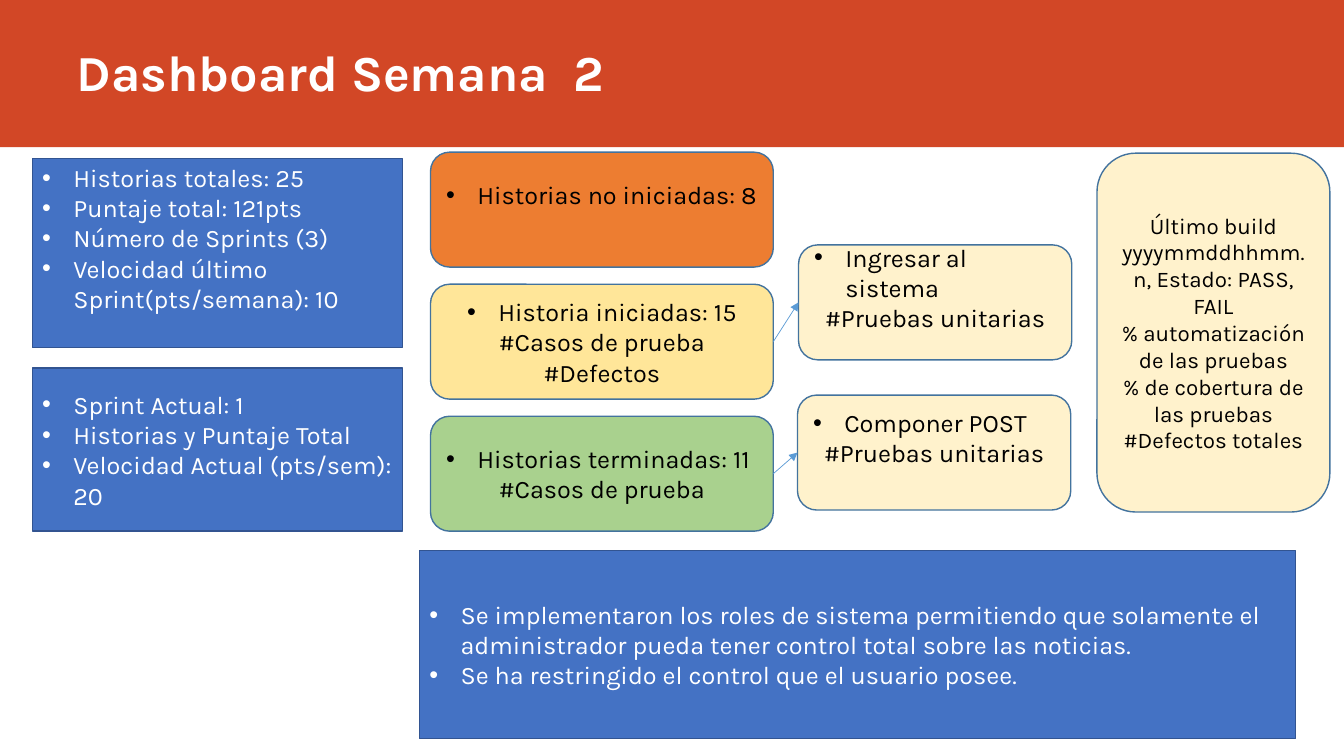
"""Build the weekly sprint dashboard slide."""
from dataclasses import dataclass

from lxml import etree
from pptx import Presentation
from pptx.dml.color import RGBColor
from pptx.enum.shapes import MSO_CONNECTOR, MSO_SHAPE
from pptx.enum.text import MSO_ANCHOR, MSO_AUTO_SIZE, PP_ALIGN
from pptx.oxml.ns import qn
from pptx.util import Inches, Pt

RECT, ROUNDED = MSO_SHAPE.RECTANGLE, MSO_SHAPE.ROUNDED_RECTANGLE
STRAIGHT = MSO_CONNECTOR.STRAIGHT
LEFT, CENTER = PP_ALIGN.LEFT, PP_ALIGN.CENTER
MIDDLE, BOTTOM = MSO_ANCHOR.MIDDLE, MSO_ANCHOR.BOTTOM
NO_FIT = MSO_AUTO_SIZE.NONE
LEFT_SITE, RIGHT_SITE = 1, 3
TITLE_ONLY = 5


@dataclass(frozen=True)
class Theme:
    """Colours, font and type sizes of the dashboard."""
    font: str = "Karla"
    title_size: int = 36
    body_size: int = 18
    small_size: int = 16
    white: str = "FFFFFF"
    black: str = "000000"
    band: str = "D24726"
    panel: str = "4472C4"
    panel_line: str = "325491"
    card_line: str = "43739E"
    arrow: str = "5B9BD5"
    pending: str = "ED7D31"
    started: str = "FFE699"
    finished: str = "A9D18E"
    detail: str = "FFF2CC"


class Dashboard:
    """Hold the theme and the current page, and draw its elements."""

    def __init__(self, page, theme):
        """Keep the page and the theme."""
        self.page = page
        self.theme = theme

    def format_para(self, para, text, size, color, align=LEFT, bold=False):
        """Write one paragraph in the theme font."""
        para.alignment = align
        span = para.add_run()
        span.text = text
        formats = {"name": self.theme.font, "size": Pt(size), "bold": bold}
        for name, value in formats.items():
            setattr(span.font, name, value)
        span.font.color.rgb = RGBColor.from_string(color)

    def add_bullet(self, para):
        """Give a paragraph a round bullet with a hanging indent."""
        props = para._p.get_or_add_pPr()
        props.set("marL", str(Inches(0.31)))
        props.set("indent", str(-Inches(0.31)))
        etree.SubElement(props, qn("a:buFont")).set("typeface", "Arial")
        etree.SubElement(props, qn("a:buChar")).set("char", "•")

    def format_frame(self, frame, anchor, bottom=0.05):
        """Set wrapping, anchor and insets of a text frame."""
        formats = {
            "word_wrap": True, "auto_size": NO_FIT, "vertical_anchor": anchor,
            "margin_left": Inches(0.1), "margin_right": Inches(0.1),
            "margin_top": Inches(0.05), "margin_bottom": Inches(bottom),
        }
        for name, value in formats.items():
            setattr(frame, name, value)

    def add_title(self, text, place):
        """Move and format the title placeholder."""
        title = self.page.shapes.title
        title.left, title.top, title.width, title.height = map(Inches, place)
        self.format_frame(title.text_frame, BOTTOM)
        self.format_para(title.text_frame.paragraphs[0], text,
                         self.theme.title_size, self.theme.white, bold=True)

    def add_box(self, kind, place, fill, line=None):
        """Draw a filled shape, outlined when a line colour is given."""
        box = self.page.shapes.add_shape(kind, *map(Inches, place))
        box.shadow.inherit = False
        box.fill.solid()
        box.fill.fore_color.rgb = RGBColor.from_string(fill)
        if line:
            box.line.color.rgb = RGBColor.from_string(line)
            box.line.width = Pt(1)
        else:
            box.line.fill.background()
        return box

    def add_band(self, place):
        """Draw the header band behind the title."""
        band = self.add_box(RECT, place, self.theme.band)
        self.page.shapes._spTree.insert(2, band._element)

    def add_panel(self, place, items, bottom=0.05):
        """Draw a blue panel with a bulleted list."""
        box = self.add_box(RECT, place, self.theme.panel, self.theme.panel_line)
        frame = box.text_frame
        self.format_frame(frame, MIDDLE, bottom)
        for index, item in enumerate(items):
            para = frame.add_paragraph() if index else frame.paragraphs[0]
            self.format_para(para, item, self.theme.body_size, self.theme.white)
            self.add_bullet(para)

    def add_card(self, place, fill, lines, heading=None, bottom=0.05,
                 heading_align=LEFT, size=None):
        """Draw a rounded card: a bulleted heading over centred lines."""
        box = self.add_box(ROUNDED, place, fill, self.theme.card_line)
        frame = box.text_frame
        self.format_frame(frame, MIDDLE, bottom)
        texts = [heading, *lines] if heading else lines
        for index, text in enumerate(texts):
            para = frame.add_paragraph() if index else frame.paragraphs[0]
            is_heading = bool(heading) and index == 0
            self.format_para(para, text, size or self.theme.body_size,
                             self.theme.black,
                             heading_align if is_heading else CENTER)
            if is_heading:
                self.add_bullet(para)
        return box

    def add_arrow(self, source, target):
        """Join the right side of one card to the left side of another."""
        arrow = self.page.shapes.add_connector(STRAIGHT, 0, 0, 0, 0)
        arrow.begin_connect(source, RIGHT_SITE)
        arrow.end_connect(target, LEFT_SITE)
        arrow.line.color.rgb = RGBColor.from_string(self.theme.arrow)
        arrow.line.width = Pt(0.5)
        outline = arrow.line._get_or_add_ln()
        etree.SubElement(outline, qn("a:tailEnd")).set("type", "triangle")
        etree.SubElement(arrow._element.spPr, qn("a:effectLst"))


def main():
    """Create the deck and draw the dashboard."""
    deck = Presentation()
    deck.slide_width, deck.slide_height = Inches(13.33), Inches(7.5)
    theme = Theme()
    page = deck.slides.add_slide(deck.slide_layouts[TITLE_ONLY])
    board = Dashboard(page, theme)

    board.add_band((0, 0, 13.33, 1.46))
    board.add_title("Dashboard Semana  2", (0.66, -0.09, 11.76, 1.15))

    spare_line = 0.35  # bottom inset that lifts text by half a line
    board.add_panel((0.32, 1.57, 3.67, 1.88), [
        "Historias totales: 25", "Puntaje total: 121pts",
        "Número de Sprints (3)", "Velocidad último Sprint(pts/semana): 10",
    ], spare_line)
    board.add_panel((0.32, 3.65, 3.67, 1.62), [
        "Sprint Actual: 1", "Historias y Puntaje Total",
        "Velocidad Actual (pts/sem): 20",
    ])
    board.add_panel((4.16, 5.46, 8.69, 1.87), [
        "Se implementaron los roles de sistema permitiendo que solamente el "
        "administrador pueda tener control total sobre las noticias.",
        "Se ha restringido el control que el usuario posee.",
    ])

    statuses = [
        (theme.pending, "Historias no iniciadas: 8", [], LEFT, spare_line),
        (theme.started, "Historia iniciadas: 15",
         ["#Casos de prueba", "#Defectos"], CENTER, 0.05),
        (theme.finished, "Historias terminadas: 11",
         ["#Casos de prueba"], LEFT, 0.05),
    ]
    _, started, finished = [
        board.add_card((4.27, 1.51 + 1.31 * row, 3.4, 1.14), fill, lines,
                       heading, bottom, align)
        for row, (fill, heading, lines, align, bottom) in enumerate(statuses)
    ]

    details = [(started, 7.92, 2.43, "Ingresar al sistema"),
               (finished, 7.91, 3.92, "Componer POST")]
    for status, left, top, heading in details:
        detail = board.add_card((left, top, 2.71, 1.14), theme.detail,
                                ["#Pruebas unitarias"], heading, spare_line)
        board.add_arrow(status, detail)

    board.add_card((10.88, 1.52, 2.31, 3.56), theme.detail, [
        "Último build yyyymmddhhmm.n, Estado: PASS, FAIL",
        "% automatización de las pruebas",
        "% de cobertura de las pruebas", "#Defectos totales",
    ], size=theme.small_size)

    deck.save("out.pptx")


main()
